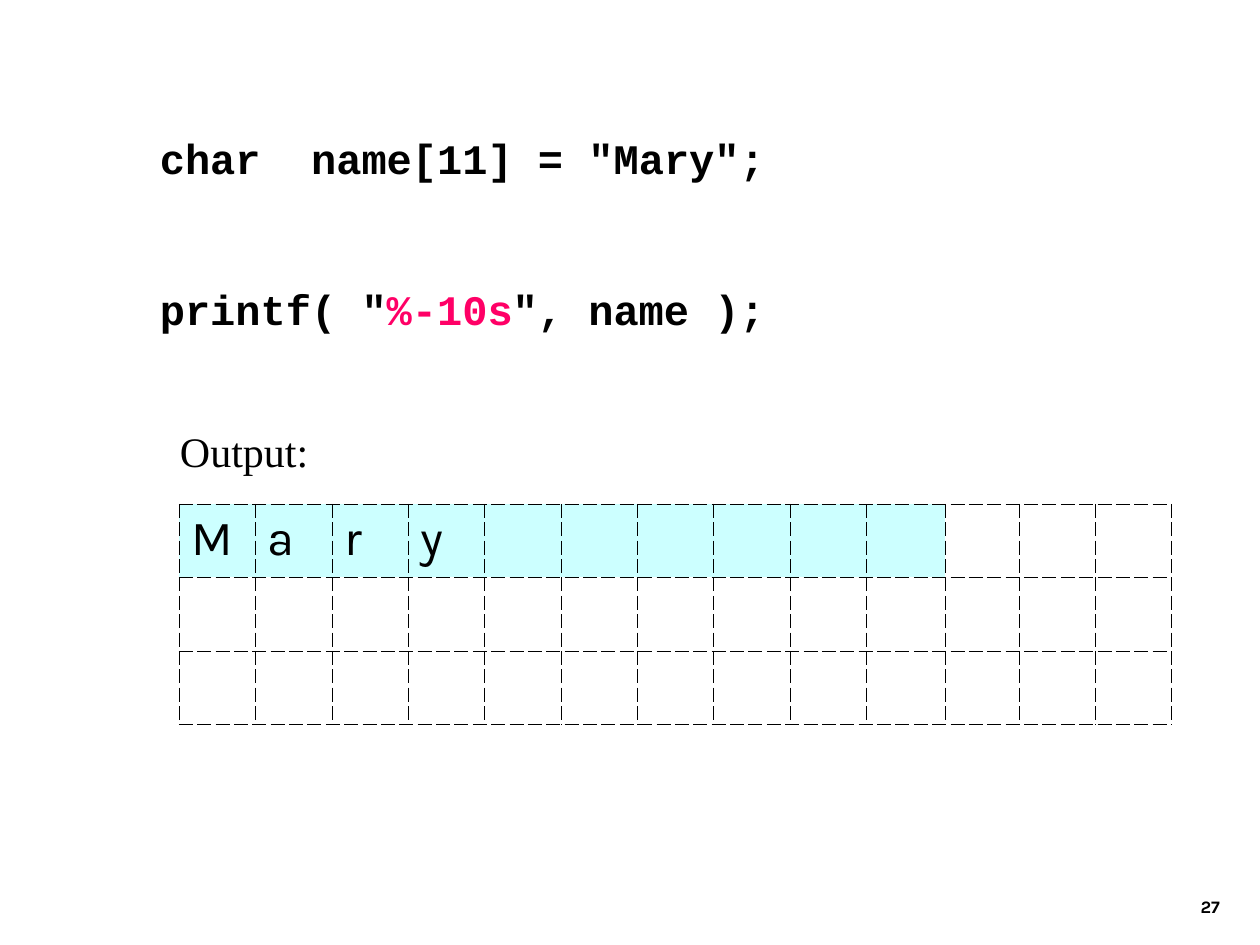
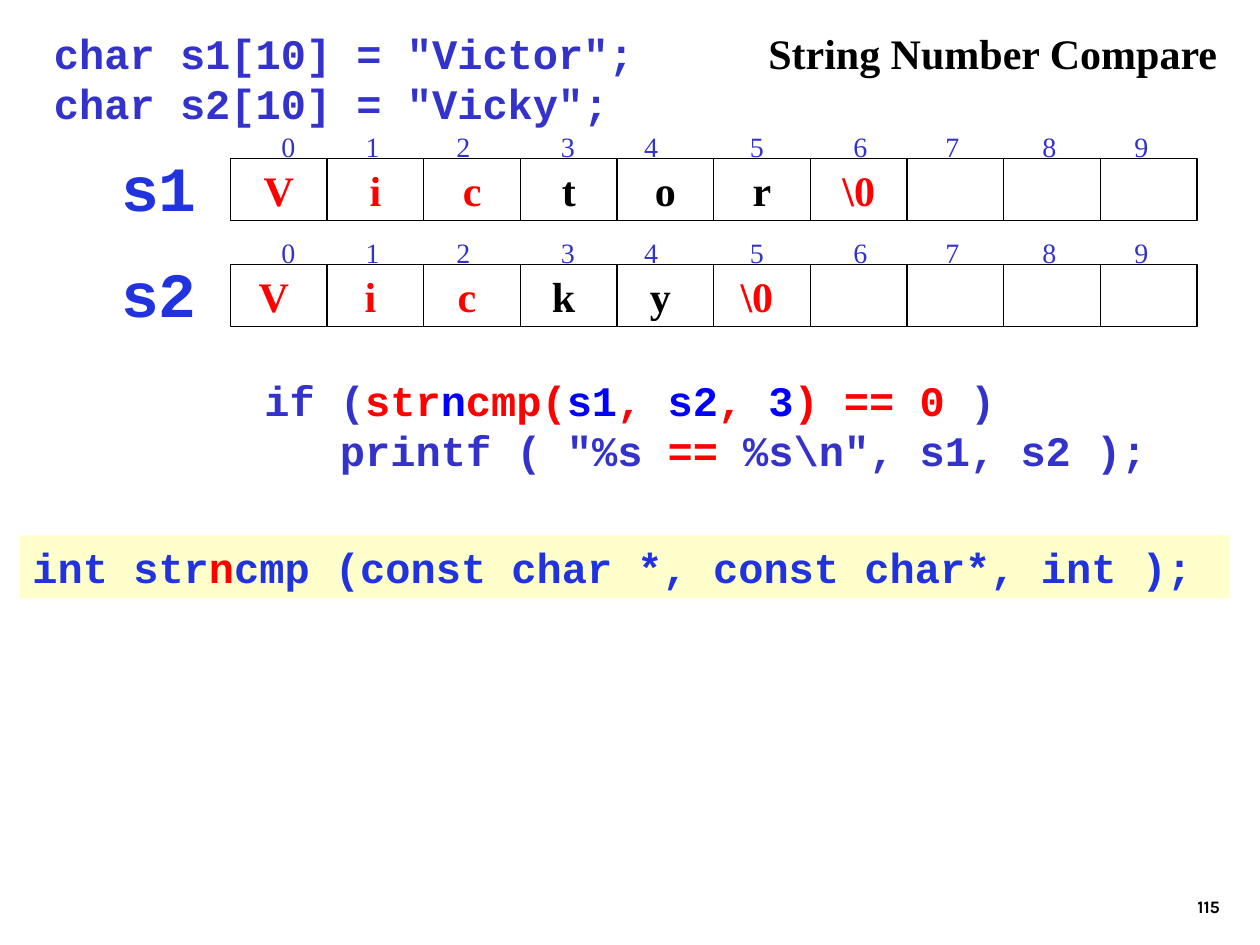
from lxml import etree
from pptx import Presentation
from pptx.dml.color import RGBColor
from pptx.enum.shapes import MSO_SHAPE
from pptx.enum.text import MSO_ANCHOR, PP_ALIGN
from pptx.oxml.ns import qn
from pptx.util import Inches, Pt

RECTANGLE = MSO_SHAPE.RECTANGLE
LEFT, CENTER, RIGHT = PP_ALIGN.LEFT, PP_ALIGN.CENTER, PP_ALIGN.RIGHT
TOP, MIDDLE, BOTTOM = MSO_ANCHOR.TOP, MSO_ANCHOR.MIDDLE, MSO_ANCHOR.BOTTOM

MONO, SERIF, SANS = "Courier New", "Times New Roman", "Karla"
BLACK, RED, PINK = "000000", "FF0000", "FF0066"
INDIGO, ROYAL, BLUE = "3333CC", "2133DF", "0000FF"
CYAN, CREAM = "CCFFFF", "FFFFCC"

# Centres of the index digits, measured from the left of the array
INDEX_CENTERS = [0.46, 1.13, 1.85, 2.68, 3.34, 4.18, 5.0, 5.73, 6.5, 7.23]
INSET = 0.1


def rgb(hex_code):
    return RGBColor.from_string(hex_code)


def write_text(shape, lines, font, size, color, bold=False, align=LEFT,
               anchor=TOP, wrap=True, gap=0):
    """Fill a shape; each line is a string or a list of strings and (text, color) pairs."""
    frame = shape.text_frame
    frame.word_wrap = wrap
    frame.vertical_anchor = anchor
    for number, line in enumerate(lines):
        para = frame.add_paragraph() if number else frame.paragraphs[0]
        para.alignment = align
        if number:
            para.space_before = Pt(gap)
        for piece in [line] if isinstance(line, str) else line:
            text, tint = (piece, color) if isinstance(piece, str) else piece
            span = para.add_run()
            span.text = text
            span.font.name = font
            span.font.size = Pt(size)
            span.font.bold = bold
            span.font.color.rgb = rgb(tint)


def add_text(page, box, lines, font, size, color, **style):
    shape = page.shapes.add_textbox(*map(Inches, box))
    write_text(shape, lines, font, size, color, **style)
    return shape


def add_rectangle(page, box, fill=None, line=None):
    shape = page.shapes.add_shape(RECTANGLE, *map(Inches, box))
    shape.shadow.inherit = False
    if fill:
        shape.fill.solid()
        shape.fill.fore_color.rgb = rgb(fill)
    else:
        shape.fill.background()
    if line:
        shape.line.color.rgb = rgb(line)
        shape.line.width = Pt(0.75)
    else:
        shape.line.fill.background()
    return shape


def add_page(deck, number):
    page = deck.slides.add_slide(deck.slide_layouts[6])
    add_text(page, (7.7, 6.83, 2.08, 0.5), [number], SANS, 10, BLACK,
             bold=True, align=RIGHT, anchor=BOTTOM)
    return page


def dash_borders(cell):
    """Draw thin dashed borders; they must precede the fill in the cell properties."""
    props = cell._tc.get_or_add_tcPr()
    for place, side in enumerate(("a:lnL", "a:lnR", "a:lnT", "a:lnB")):
        line = etree.Element(qn(side), w=str(Pt(0.11)))
        fill = etree.SubElement(line, qn("a:solidFill"))
        etree.SubElement(fill, qn("a:srgbClr"), val=BLACK)
        etree.SubElement(line, qn("a:prstDash"), val="dash")
        props.insert(place, line)


def add_output_grid(page, box, word, field_width, rows=3, columns=13):
    frame = page.shapes.add_table(rows, columns, *map(Inches, box))
    table = frame.table
    table.first_row = table.horz_banding = False
    nudges = {9: 0.02, 10: -0.02}
    for index, column in enumerate(table.columns):
        column.width = Inches(box[2] / columns + nudges.get(index, 0))
    for row_index in range(rows):
        for index in range(columns):
            cell = table.cell(row_index, index)
            if row_index == 0 and index < field_width:
                cell.fill.solid()
                cell.fill.fore_color.rgb = rgb(CYAN)
            else:
                cell.fill.background()
            dash_borders(cell)
    for index, letter in enumerate(word):
        cell = table.cell(0, index)
        cell.text = letter
        font = cell.text_frame.paragraphs[0].runs[0].font
        font.name, font.size = SANS, Pt(28)
        font.color.rgb = rgb(BLACK)


def add_index_row(page, box):
    shape = add_text(page, box, [""], SERIF, 16, INDIGO, anchor=MIDDLE)
    para = shape.text_frame.paragraphs[0]
    tabs = etree.SubElement(para._p.get_or_add_pPr(), qn("a:tabLst"))
    for center in INDEX_CENTERS:
        etree.SubElement(tabs, qn("a:tab"), pos=str(Inches(center - INSET)), algn="ctr")
    para.runs[0].text = "".join(f"\t{index}" for index in range(len(INDEX_CENTERS)))


def add_char_array(page, box, name, chars, red_cells, right_inset=INSET):
    left, top, width, height = box
    cell_width = width / len(INDEX_CENTERS)
    add_index_row(page, (left, top - 0.34, width, height))
    for index in range(len(INDEX_CENTERS)):
        cell = add_rectangle(page, (left + index * cell_width, top, cell_width, height),
                             line=BLACK)
        if index < len(chars):
            cell.text_frame.margin_right = Inches(right_inset)
            write_text(cell, [chars[index]], SERIF, 24,
                       RED if index in red_cells else BLACK, bold=True,
                       align=CENTER, anchor=MIDDLE, wrap=False)
    # Variable name to the left of the cells
    add_text(page, (left - 0.97, top - 0.13, 0.8, 0.7), [name], MONO, 36, ROYAL,
             bold=True, align=RIGHT, wrap=False)


def build_printf_slide(deck):
    page = add_page(deck, "27")
    # Code
    add_text(page, (1.17, 1, 6.92, 1.7),
             ['char  name[11] = "Mary";', ['printf( "', ("%-10s", PINK), '", name );']],
             MONO, 24, BLACK, bold=True, gap=57.6)
    # Output
    add_text(page, (1.33, 3.33, 3.5, 0.5), ["Output:"], SERIF, 24, BLACK)
    add_output_grid(page, (1.42, 4, 7.88, 1.75), "Mary", field_width=10)


def build_compare_slide(deck):
    page = add_page(deck, "115")
    # Declarations and title
    add_text(page, (0.33, 0.17, 7.42, 1.3),
             ['char s1[10] = "Victor";', 'char s2[10] = "Vicky";'],
             MONO, 24, INDIGO, bold=True)
    add_text(page, (6, 0.17, 3.77, 0.5), ["String Number Compare"], SERIF, 24, BLACK,
             bold=True, wrap=False)
    # Arrays
    add_char_array(page, (1.83, 1.26, 7.67, 0.49), "s1",
                   [*"Victor", "\\0"], {0, 1, 2, 6})
    add_char_array(page, (1.83, 2.1, 7.67, 0.49), "s2",
                   [*"Vicky", "\\0"], {0, 1, 2, 5}, right_inset=0.18)
    # Comparison
    add_text(page, (2, 2.92, 7.5, 0.9),
             [["if (", ("str", RED), ("n", BLUE), ("cmp(", RED), ("s1", BLUE), (", ", RED),
               ("s2", BLUE), (", ", RED), ("3", BLUE), (") == 0 ", RED), ")"],
              ['   printf ( "%s ', ("==", RED), ' %s\\n", s1, s2 );']],
             MONO, 24, INDIGO, bold=True)
    # Prototype band
    band = add_rectangle(page, (0.16, 4.25, 9.6, 0.5), fill=CREAM)
    write_text(band, [["int str", ("n", RED), "cmp (const char *, const char*, int );"]],
               MONO, 24, ROYAL, bold=True, wrap=False)


def main():
    deck = Presentation()
    deck.slide_width, deck.slide_height = Inches(10), Inches(7.5)
    build_printf_slide(deck)
    build_compare_slide(deck)
    deck.save("out.pptx")


if __name__ == "__main__":
    main()
